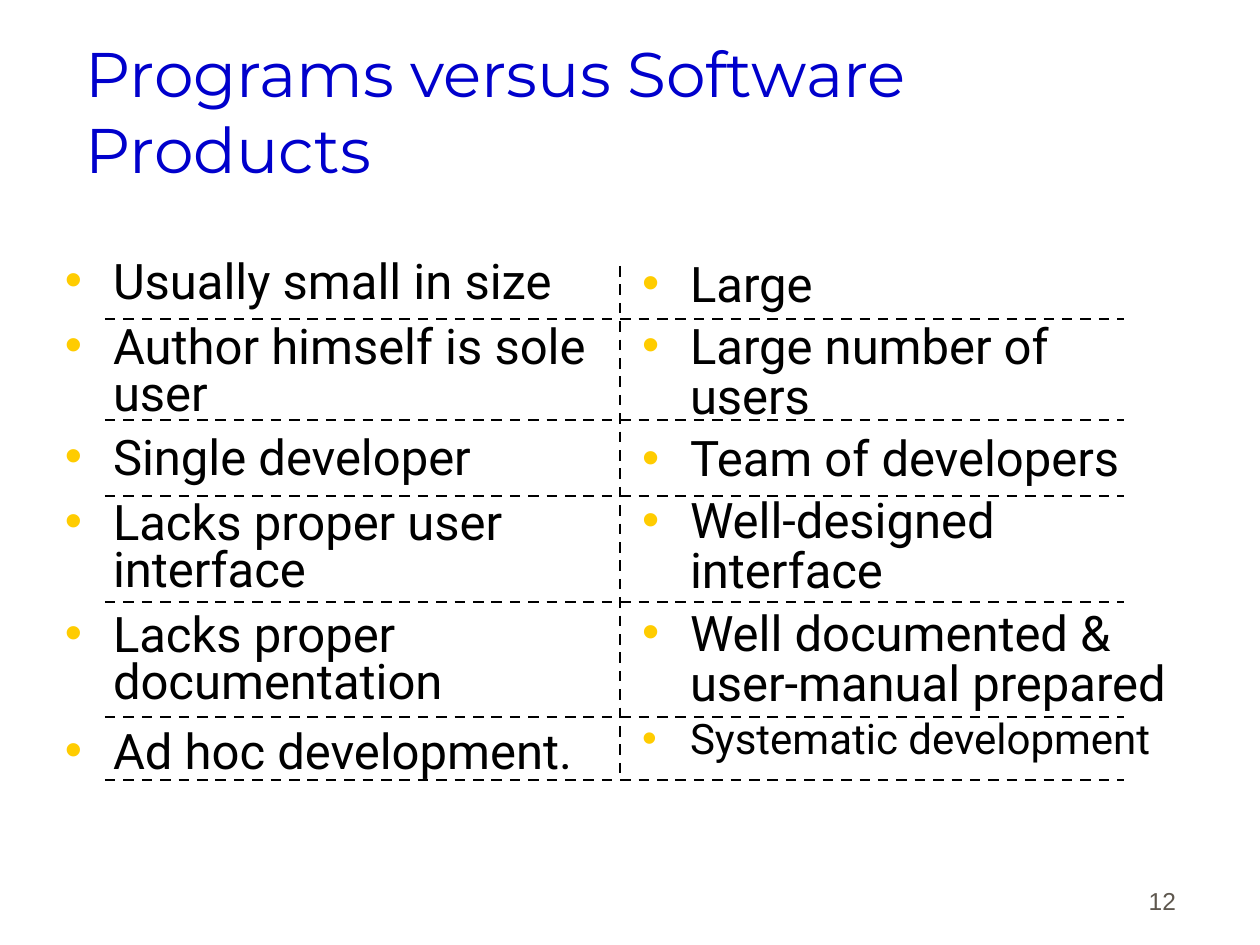
from lxml.etree import SubElement as Sub
from pptx import Presentation
from pptx.dml.color import RGBColor
from pptx.enum.dml import MSO_LINE
from pptx.enum.shapes import MSO_CONNECTOR
from pptx.enum.text import MSO_ANCHOR as Anchor, MSO_AUTO_SIZE as Fit, PP_ALIGN as Align
from pptx.oxml.ns import qn
from pptx.util import Emu, Pt

BLUE = RGBColor(0x00, 0x00, 0xCC)
BLACK = RGBColor(0x00, 0x00, 0x00)
GRAY = RGBColor(0x5E, 0x57, 0x4E)
GOLD = RGBColor(0xFF, 0xCC, 0x00)
SCALE = 914400 / 126


def px(n):
    return Emu(round(n * SCALE))


class Page:
    head, body, foot = "Montserrat", "Roboto", "Arial"

    def __init__(self, deck):
        self.slide = deck.slides.add_slide(deck.slide_layouts[3])
        self.shapes = self.slide.shapes

    def frame(self, shape, box, anchor, inset):
        shape.left, shape.top, shape.width, shape.height = map(px, box)
        tf = shape.text_frame
        tf.word_wrap, tf.auto_size = True, Fit.NONE
        tf.vertical_anchor = anchor
        tf.margin_left = tf.margin_right = px(inset)
        tf.margin_top = tf.margin_bottom = px(6)
        return tf

    def style(self, para, name, size, color, gap, align=Align.LEFT):
        font = para.font
        font.name, font.size, font.color.rgb = name, Pt(size), color
        para.space_before, para.alignment = Pt(gap), align

    def title(self, text, box):
        tf = self.frame(self.shapes.title, box, Anchor.MIDDLE, 2)
        tf.text = text
        self.style(tf.paragraphs[0], self.head, 36, BLUE, 8)

    def bullet(self, para):
        props = para._p.get_or_add_pPr()
        props.set("marL", str(px(48)))
        props.set("indent", str(px(-48)))
        Sub(Sub(props, qn("a:buClr")), qn("a:srgbClr"), val=str(GOLD))
        Sub(props, qn("a:buFont"), typeface=self.foot)
        Sub(props, qn("a:buChar"), char="•")

    def items(self, idx, rows, box, lead, gap, last):
        tf = self.frame(self.slide.placeholders[idx], box, Anchor.TOP, 2)
        tf.text = "\n".join(rows)
        for para in tf.paragraphs:
            self.style(para, self.body, 28, BLACK, gap)
            para.line_spacing = lead
            self.bullet(para)
        # The closing item has its own size and gap
        para.font.size, para.space_before = Pt(last[0]), Pt(last[1])

    def rule(self, x1, y1, x2, y2):
        rule = self.shapes.add_connector(
            MSO_CONNECTOR.STRAIGHT, px(x1), px(y1), px(x2), px(y2))
        rule.line.color.rgb, rule.line.width = BLACK, Pt(1.5)
        rule.line.dash_style = MSO_LINE.DASH
        Sub(rule._element.spPr, qn("a:effectLst"))

    def number(self, text, box):
        shape = self.shapes.add_textbox(0, 0, 0, 0)
        tf = self.frame(shape, box, Anchor.BOTTOM, 13)
        tf.text = text
        self.style(tf.paragraphs[0], self.foot, 14, GRAY, 8.8, Align.RIGHT)


def main():
    deck = Presentation()
    deck.slide_width, deck.slide_height = px(1260), px(945)
    page = Page(deck)
    page.title("Programs versus Software Products", (84, 32, 1071, 157))

    # Programs on the left, products on the right
    page.items(1, [
        "Usually small in size",
        "Author himself is sole user",
        "Single developer",
        "Lacks proper user interface",
        "Lacks proper documentation",
        "Ad hoc development.",
    ], (63, 256, 556, 644), 0.8, 10, (28, 13))
    page.items(2, [
        "Large",
        "Large number of users",
        "Team of developers",
        "Well-designed interface",
        "Well documented & user-manual prepared",
        "Systematic development",
    ], (640, 256, 536, 669), 0.85, 7, (24, 5.4))

    # Dashed grid between the rows and columns
    for y in (319, 420, 496, 602, 717, 780):
        page.rule(105, y, 1124, y)
    page.rule(620, 266, 620, 780)

    page.number("12", (927, 858, 262, 63))
    deck.save("out.pptx")


if __name__ == "__main__":
    main()
